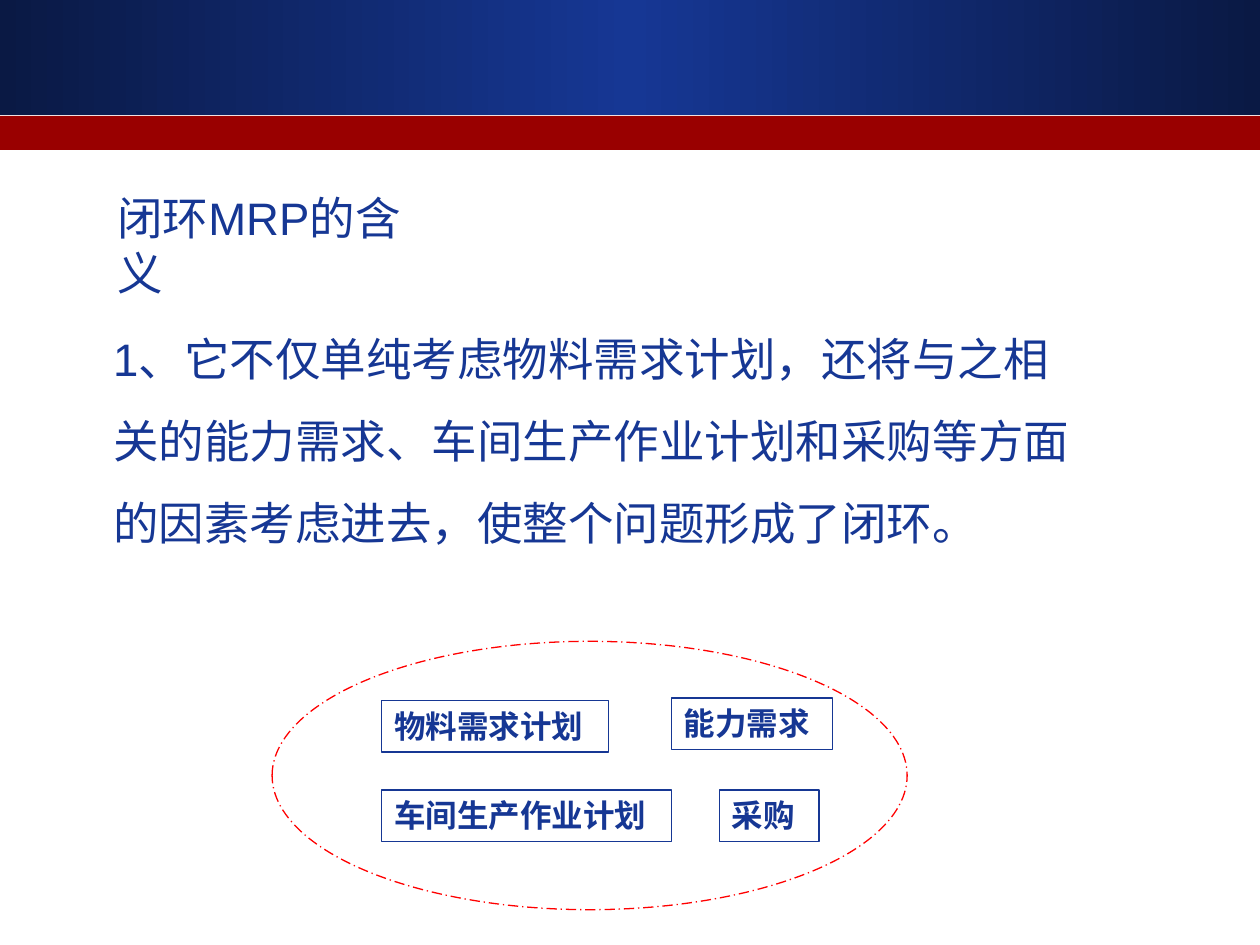
import copy
import pptx
import pptx.util
import pptx.dml.color
import pptx.enum.dml
import pptx.enum.shapes
import pptx.enum.text

Inches = pptx.util.Inches
SHAPE = pptx.enum.shapes.MSO_SHAPE
ANCHOR = pptx.enum.text.MSO_ANCHOR
FIT = pptx.enum.text.MSO_AUTO_SIZE
LEFT = pptx.enum.text.PP_ALIGN.LEFT

COLORS = {"navy": "163794", "dark": "0A1944", "band": "990000", "ring": "FF0000"}
HEAD = {"name": "Arial", "size": pptx.util.Pt(26), "bold": False}
LABEL = {"name": "Arial", "size": pptx.util.Pt(18), "bold": True}


def color(key):
    return pptx.dml.color.RGBColor.from_string(COLORS[key])


def write(frame, text, style, fit=FIT.SHAPE_TO_FIT_TEXT, space=1.0):
    """Put one left-aligned paragraph into a text frame."""
    frame.word_wrap = True
    frame.auto_size = fit
    frame.vertical_anchor = ANCHOR.TOP
    para = frame.paragraphs[0]
    para.alignment = LEFT
    para.line_spacing = space
    run = para.add_run()
    run.text = text
    for key, value in style.items():
        setattr(run.font, key, value)
    run.font.color.rgb = color("navy")


def add_shape(slide, kind, box, fill=None, line=None):
    shape = slide.shapes.add_shape(kind, *map(Inches, box))
    shape.shadow.inherit = False
    if fill:
        shape.fill.solid()
        shape.fill.fore_color.rgb = color(fill)
    else:
        shape.fill.background()
    if line:
        shape.line.color.rgb = color(line)
        shape.line.width = pptx.util.Pt(0.75)
    else:
        shape.line.fill.background()
    return shape


def add_banner(slide, box):
    """Navy gradient over a red band."""
    left, top, width, height = box
    bar = add_shape(slide, SHAPE.RECTANGLE, (left, top, width, 0.91))
    bar.fill.gradient()
    bar.fill.gradient_angle = 0
    stops = bar.fill.gradient_stops
    for stop, key in zip(stops, ("dark", "navy")):
        stop.color.rgb = color(key)
    # Mirror the first stop at the far end
    items = bar.fill._fill._gradFill.gsLst
    items.append(copy.deepcopy(items[0]))
    for stop, place in zip(bar.fill.gradient_stops, (0, 0.5, 1)):
        stop.position = place
    add_shape(slide, SHAPE.RECTANGLE, (left, top + 0.92, width, height - 0.92), "band")


def add_title(slide, box, text):
    title = slide.shapes.title
    title.left, title.top, title.width, title.height = map(Inches, box)
    write(title.text_frame, text, HEAD, FIT.NONE)


def add_body(slide, box, text):
    body = slide.shapes.add_textbox(*map(Inches, box))
    write(body.text_frame, text, HEAD, space=1.5)


def add_loop(slide, box, labels):
    """Dashed ring around the labelled boxes, placed from its corner."""
    left, top = box[:2]
    for text, across, down, width in labels:
        place = (left + across, top + down, width, 0.41)
        label = add_shape(slide, SHAPE.RECTANGLE, place, line="navy")
        write(label.text_frame, text, LABEL)
    ring = add_shape(slide, SHAPE.OVAL, box, line="ring")
    ring.line.dash_style = pptx.enum.dml.MSO_LINE.LONG_DASH_DOT


def main():
    deck = pptx.Presentation()
    deck.slide_width, deck.slide_height = Inches(10), Inches(7.5)
    slide = deck.slides.add_slide(deck.slide_layouts[5])
    add_banner(slide, (0, 0, 10, 1.19))
    add_title(slide, (0.83, 1.46, 2.77, 0.54), "闭环MRP的含义")
    add_body(
        slide,
        (0.8, 2.36, 7.98, 2.02),
        "1、它不仅单纯考虑物料需求计划，还将与之相关的能力需求、"
        "车间生产作业计划和采购等方面的因素考虑进去，使整个问题形成了闭环。",
    )
    # Label text, offset in the ring, width
    labels = [
        ("物料需求计划", 0.87, 0.47, 1.8),
        ("能力需求", 3.17, 0.45, 1.28),
        ("车间生产作业计划", 0.87, 1.18, 2.3),
        ("采购", 3.55, 1.18, 0.79),
    ]
    add_loop(slide, (2.16, 5.09, 5.04, 2.13), labels)
    deck.save("out.pptx")


if __name__ == "__main__":
    main()
